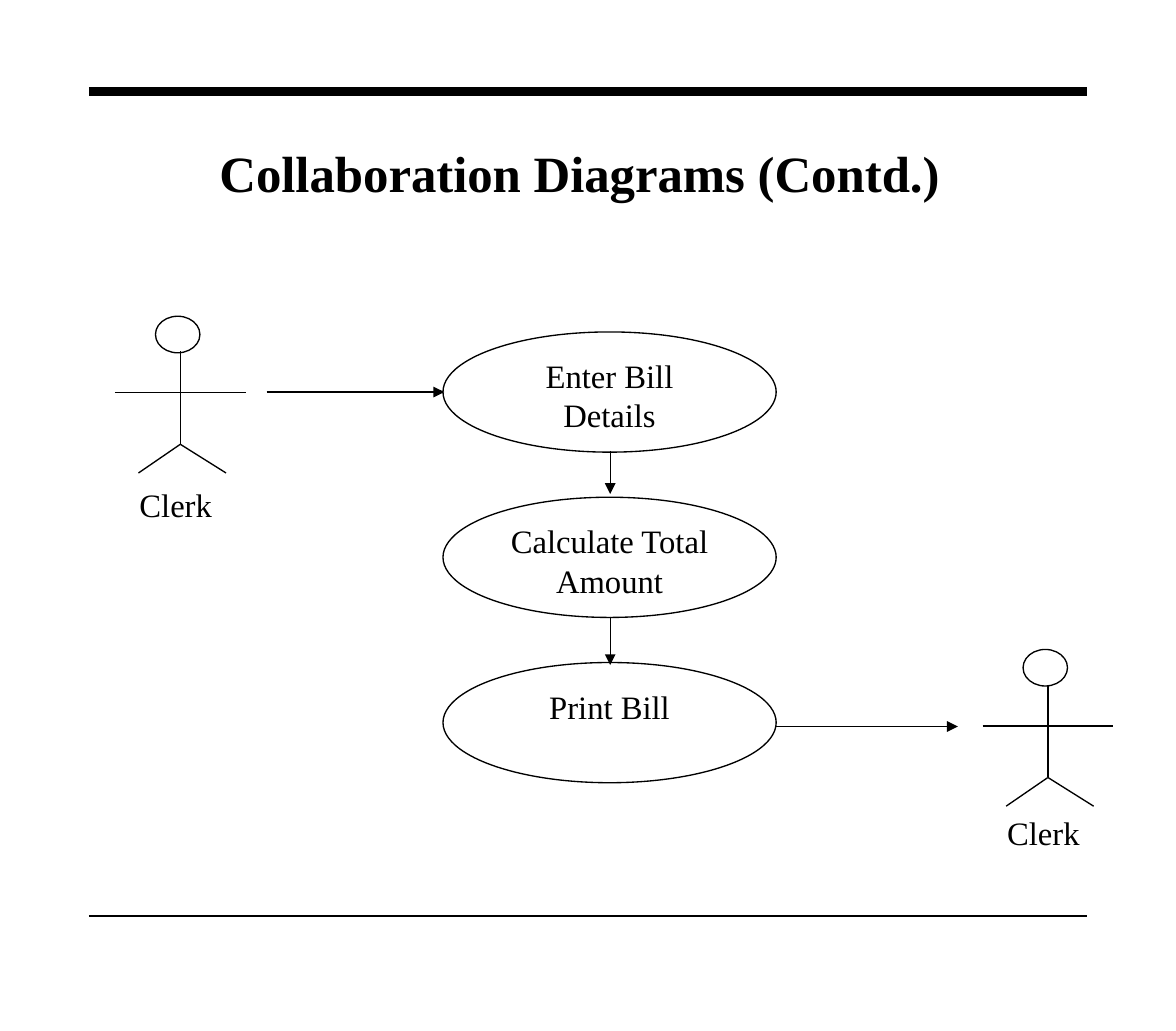
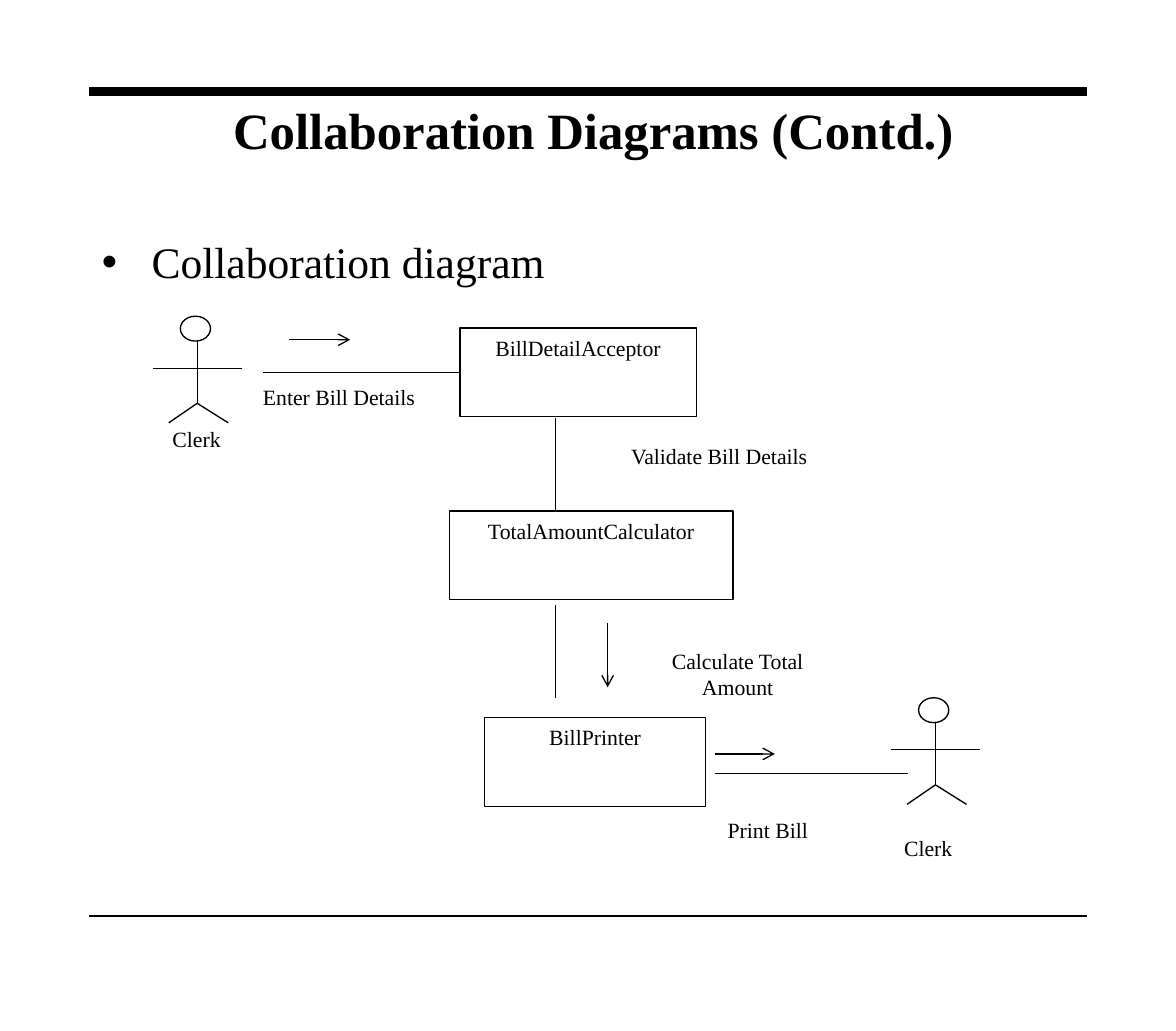
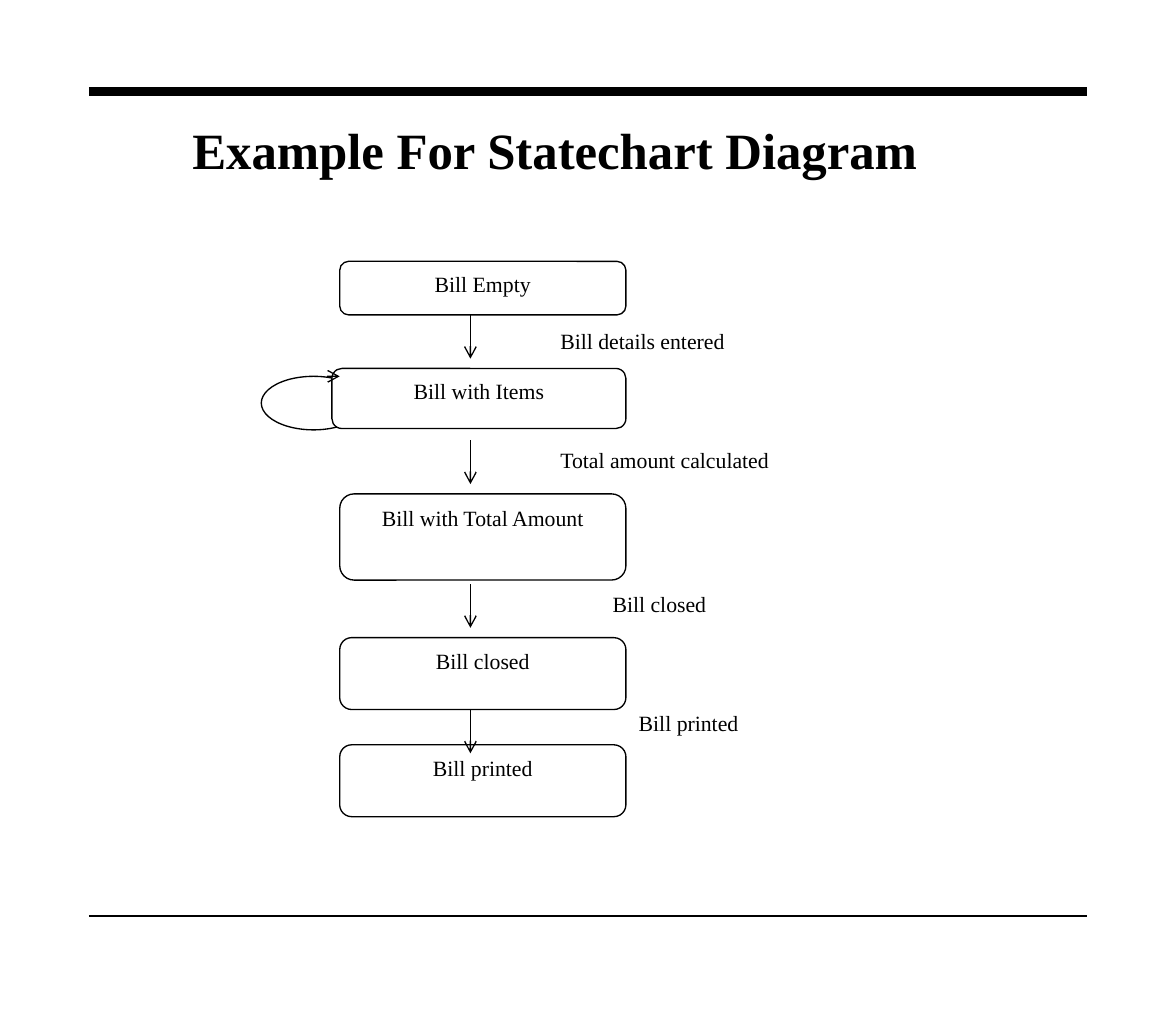
from lxml import etree
from pptx import Presentation
from pptx.dml.color import RGBColor
from pptx.enum.shapes import MSO_CONNECTOR, MSO_SHAPE
from pptx.enum.text import MSO_ANCHOR, MSO_AUTO_SIZE, PP_ALIGN
from pptx.oxml.ns import qn
from pptx.util import Inches, Pt

ELLIPSE, BOX, ROUNDED = MSO_SHAPE.OVAL, MSO_SHAPE.RECTANGLE, MSO_SHAPE.ROUNDED_RECTANGLE
HEAD = MSO_SHAPE.FLOWCHART_CONNECTOR
STRAIGHT = MSO_CONNECTOR.STRAIGHT
LEFT, CENTER = PP_ALIGN.LEFT, PP_ALIGN.CENTER
TOP, MIDDLE = MSO_ANCHOR.TOP, MSO_ANCHOR.MIDDLE
NO_FIT = MSO_AUTO_SIZE.NONE
LEFT_SIDE = 1

COLORS = {"ink": "000000", "paper": "FFFFFF"}
FONT = "Times New Roman"
COLUMNS, ROWS = 90, 78.9
TITLE_ONLY, TITLE_AND_BODY = 5, 1


def color(name):
    return RGBColor.from_string(COLORS[name])


def write(frame, text, size=12, bold=False, align=CENTER, anchor=TOP, bullet=None):
    frame.word_wrap = True
    frame.auto_size = NO_FIT
    frame.vertical_anchor = anchor
    frame.margin_left = frame.margin_right = Inches(0.1)
    frame.margin_top = frame.margin_bottom = Inches(0.05)
    para = frame.paragraphs[0]
    para.alignment = align
    para.space_before = Pt(0)
    if bullet:
        properties = para._p.get_or_add_pPr()
        properties.set("marL", str(Inches(0.38)))
        properties.set("indent", str(-Inches(0.38)))
        etree.SubElement(properties, qn("a:buChar"), char=bullet)
    span = para.add_run()
    span.text = text
    span.font.name = FONT
    span.font.size = Pt(size)
    span.font.bold = bold
    span.font.color.rgb = color("ink")


class Diagrams:
    """Holds the deck and the current page; lengths are grid columns and rows."""

    def __init__(self):
        self.deck = Presentation()
        self.deck.slide_width, self.deck.slide_height = Inches(9), Inches(7.89)
        self.page = None

    def across(self, columns):
        return round(self.deck.slide_width * columns / COLUMNS)

    def down(self, rows):
        return round(self.deck.slide_height * rows / ROWS)

    def area(self, at):
        left, top, width, height = at
        return self.across(left), self.down(top), self.across(width), self.down(height)

    def place(self, shape, at):
        shape.left, shape.top, shape.width, shape.height = self.area(at)

    def start(self, title, at, layout=TITLE_ONLY):
        self.page = self.deck.slides.add_slide(self.deck.slide_layouts[layout])
        self.place(self.page.shapes.title, at)
        write(self.page.shapes.title.text_frame, title, size=28, bold=True, anchor=MIDDLE)

    def body(self, text, at):
        holder = self.page.placeholders[1]
        self.place(holder, at)
        write(holder.text_frame, text, size=24, align=LEFT, bullet="•")

    def label(self, text, at, **style):
        write(self.page.shapes.add_textbox(*self.area(at)).text_frame, text, **style)

    def shape(self, kind, at, text=None, **style):
        shape = self.page.shapes.add_shape(kind, *self.area(at))
        shape.shadow.inherit = False
        shape.fill.solid()
        shape.fill.fore_color.rgb = color("paper")
        shape.line.color.rgb = color("ink")
        shape.line.width = Pt(0.75)
        if text:
            write(shape.text_frame, text, **style)
        return shape

    def line(self, x1, y1, x2, y2, arrow=None, width=0.75, end_box=None):
        line = self.page.shapes.add_connector(
            STRAIGHT, self.across(x1), self.down(y1), self.across(x2), self.down(y2))
        line.line.color.rgb = color("ink")
        line.line.width = Pt(width)
        properties = line.element.spPr
        if arrow:
            etree.SubElement(properties.find(qn("a:ln")), qn("a:tailEnd"), type=arrow)
        etree.SubElement(properties, qn("a:effectLst"))
        if end_box:
            line.end_connect(end_box, LEFT_SIDE)
        return line

    def master_rules(self):
        """Draws the top and bottom rules and moves them to the slide master."""
        tree = self.deck.slide_master.element.cSld.spTree
        for row, width in ((7, 4.5), (70.1, 1)):
            tree.append(self.line(6.8, row, 83.2, row, width=width).element)

    def actor(self, left, top, scale=1):
        """Draws a stick figure whose head starts at left, top."""
        self.shape(HEAD, (left, top, 3.4 * scale, 2.8 * scale))
        spine, hip, foot, arms = 1.9, 9.8, 12, 5.85
        limbs = ((spine, 2.7, spine, hip), (spine, hip, -1.3, foot),
                 (spine, hip, 5.4, foot), (-3.1, arms, 6.9, arms))
        for x1, y1, x2, y2 in limbs:
            self.line(left + x1 * scale, top + y1 * scale,
                      left + x2 * scale, top + y2 * scale)


def use_case_page(art):
    art.start("Collaboration Diagrams (Contd.)", (4.2, 8.3, 80.3, 9.8))
    art.master_rules()
    for step, text in enumerate(("Enter Bill Details", "Calculate Total Amount", "Print Bill")):
        art.shape(ELLIPSE, (33.9, 25.4 + 12.65 * step, 25.5, 9.2), text, size=18)
    for left, top, label_top in ((11.9, 24.2, 36.6), (78.3, 49.7, 61.7)):
        art.actor(left, top)
        art.label("Clerk", (left - 3.9, label_top, 10.9, 5), size=18)
    for ends in ((20.4, 30, 34, 30), (46.7, 34.5, 46.7, 37.8),
                 (46.7, 47.2, 46.7, 50.9), (59.3, 55.6, 73.3, 55.6)):
        art.line(*ends, arrow="triangle")


def collaboration_page(art):
    art.start("Collaboration Diagrams (Contd.)", (16.7, 7.2, 57.4, 5.3), TITLE_AND_BODY)
    art.body("Collaboration diagram", (6.8, 17.5, 76.5, 52.6))
    acceptor, _, _ = [
        art.shape(BOX, (left, top, width, 6.8), text)
        for text, left, top, width in (("BillDetailAcceptor", 35.2, 25.1, 18.1),
                                       ("TotalAmountCalculator", 34.4, 39.1, 21.7),
                                       ("BillPrinter", 37.1, 54.9, 16.9))]
    art.line(20.1, 28.5, 35.2, 28.5, end_box=acceptor)
    for ends in ((42.5, 32, 42.5, 39.1), (42.5, 46.3, 42.5, 53.4), (54.7, 59.2, 69.5, 59.2)):
        art.line(*ends)
    for ends in ((22.1, 26, 26.8, 26), (46.5, 47.7, 46.5, 52.6), (54.7, 57.7, 59.3, 57.7)):
        art.line(*ends, arrow="arrow")
    for left, top in ((13.8, 24.2), (70.3, 53.4)):
        art.actor(left, top, scale=0.68)
    for left, top, align in ((10, 32.1, CENTER), (68.2, 63.4, LEFT)):
        art.label("Clerk", (left, top, 10.1, 3.7), align=align)
    for text, left, top, align in (("Enter Bill Details", 17.4, 28.9, CENTER),
                                   ("Validate Bill Details", 46.5, 33.4, CENTER),
                                   ("Calculate Total Amount", 47.9, 49.1, CENTER),
                                   ("Print Bill", 54.7, 62, LEFT)):
        art.label(text, (left, top, 17.1, 5.5), align=align)


def statechart_page(art):
    art.start("Example For Statechart Diagram", (12.4, 8.8, 60.1, 5.3))
    art.shape(ELLIPSE, (20, 28.8, 8, 4.1))
    right = 47.9
    for text, left, top, height in (("Bill Empty", 26, 20, 4.1),
                                    ("Bill with Items", 25.4, 28.2, 4.6),
                                    ("Bill with Total Amount", 26, 37.8, 6.6),
                                    ("Bill closed", 26, 48.8, 5.5),
                                    ("Bill printed", 26, 57, 5.5)):
        art.shape(ROUNDED, (left, top, right - left, height), text)
    for text, left, top, arrow_top in (("Bill details entered", 41.9, 24.6, 24.1),
                                       ("Total amount calculated", 41.9, 33.7, 33.7),
                                       ("Bill closed", 45.9, 44.7, 44.7),
                                       ("Bill printed", 47.9, 53.8, 54.3)):
        art.label(text, (left, top, 29, 4), align=LEFT)
        art.line(36, arrow_top, 36, arrow_top + 3.35, arrow="arrow")
    art.line(25.1, 28.8, 26, 28.8, arrow="arrow")


def main():
    art = Diagrams()
    use_case_page(art)
    collaboration_page(art)
    statechart_page(art)
    art.deck.save("out.pptx")


if __name__ == "__main__":
    main()
